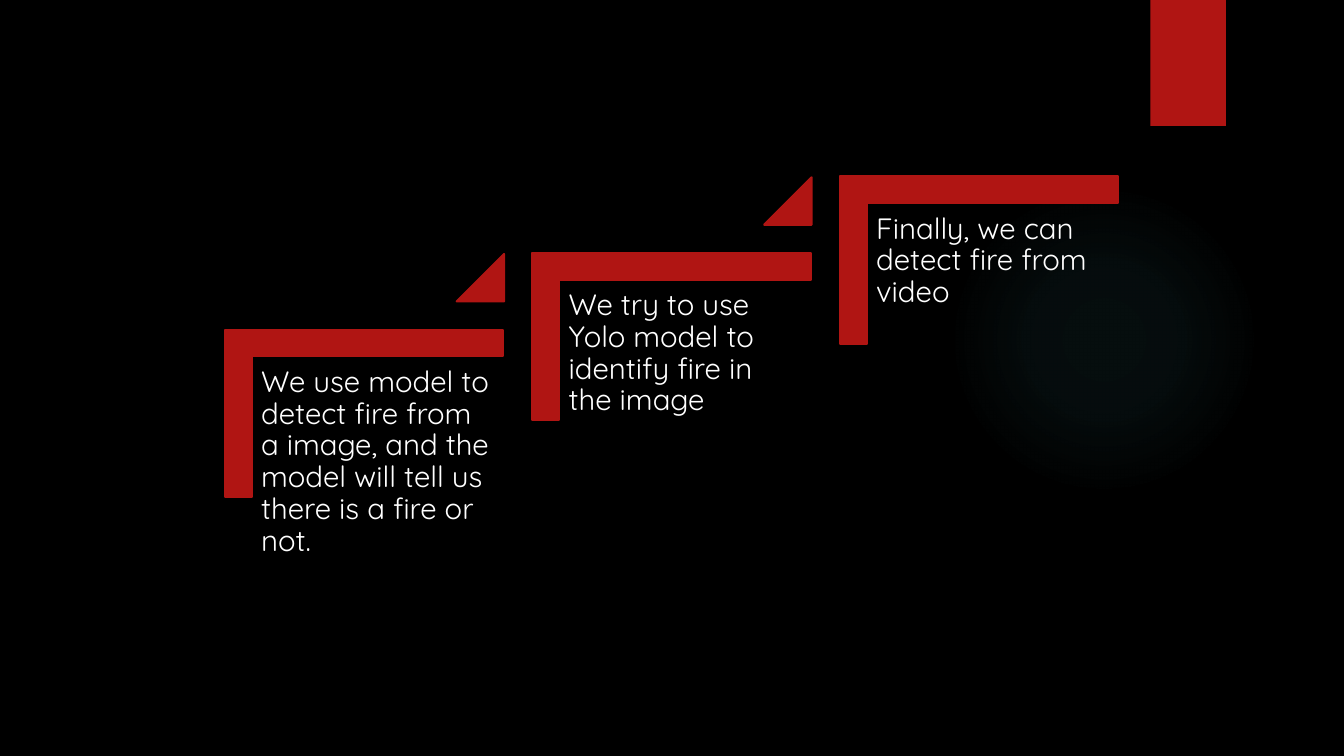
from dataclasses import dataclass

from lxml import etree
from pptx import Presentation
from pptx.dml.color import RGBColor
from pptx.enum.shapes import MSO_SHAPE
from pptx.enum.text import MSO_ANCHOR, PP_ALIGN
from pptx.oxml import parse_xml
from pptx.oxml.ns import nsdecls
from pptx.util import Inches, Pt

RECT = MSO_SHAPE.RECTANGLE
OVAL = MSO_SHAPE.OVAL
CORNER = MSO_SHAPE.CORNER
WEDGE = MSO_SHAPE.ISOSCELES_TRIANGLE
TOP = MSO_ANCHOR.TOP
LEFT = PP_ALIGN.LEFT


@dataclass(frozen=True)
class Theme:
    back: str = "000000"
    red: str = "B01513"
    glow: str = "50B9C1"
    ink: str = "FFFFFF"
    font: str = "Quicksand"
    size: float = 21
    line: float = 1.5


THEME = Theme()
STEPS = (
    "We use model to detect fire from a image, and the model will tell us there is a fire or not.",
    "We try to use Yolo model to identify fire in the image",
    "Finally, we can detect fire from video",
)
STEP_X, STEP_Y = 3.05, -0.76


def color(code):
    return RGBColor.from_string(code)


def add_form(slide, kind, box, adjust=(), edge=True):
    form = slide.shapes.add_shape(kind, *map(Inches, box))
    form.shadow.inherit = False
    form.fill.solid()
    form.fill.fore_color.rgb = color(THEME.red)
    for i, value in enumerate(adjust):
        form.adjustments[i] = value
    if edge:
        form.line.color.rgb = color(THEME.red)
        form.line.width = Pt(THEME.line)
    else:
        form.line.fill.background()
    return form


def add_glow(slide, box):
    form = add_form(slide, OVAL, box, edge=False)
    stops = "".join(
        f'<a:gs pos="{pos * 1000}"><a:srgbClr val="{THEME.glow}">'
        f'<a:alpha val="{alpha * 1000}"/></a:srgbClr></a:gs>'
        for pos, alpha in ((0, 7), (36, 6), (69, 0))
    )
    fade = parse_xml(
        f'<a:gradFill {nsdecls("a")}><a:gsLst>{stops}</a:gsLst><a:path path="circle">'
        '<a:fillToRect l="50000" t="50000" r="50000" b="50000"/></a:path></a:gradFill>'
    )
    props = form.fill._xPr
    solid = next(node for node in props if etree.QName(node).localname == "solidFill")
    props.replace(solid, fade)


def add_note(slide, box, text):
    frame = slide.shapes.add_textbox(*map(Inches, box)).text_frame
    frame.word_wrap = True
    frame.vertical_anchor = TOP
    frame.margin_left = frame.margin_right = Inches(0.09)
    frame.margin_top = frame.margin_bottom = Inches(0.09)
    para = frame.paragraphs[0]
    para.text = text
    para.alignment = LEFT
    para.line_spacing = 0.9
    para.font.name = THEME.font
    para.font.size = Pt(THEME.size)
    para.font.color.rgb = color(THEME.ink)


def add_step(slide, index, text):
    dx, dy = index * STEP_X, index * STEP_Y
    angle = add_form(slide, CORNER, (2.78 + dx, 2.72 + dy, 1.66, 2.76), (0.16, 0.16))
    angle.rotation = 90
    add_note(slide, (2.5 + dx, 3.55 + dy, 2.5, 2.19), text)
    if index < len(STEPS) - 1:
        add_form(slide, WEDGE, (4.53 + dx, 2.52 + dy, 0.47, 0.47), (1,))


def main():
    deck = Presentation()
    deck.slide_width, deck.slide_height = Inches(13.33), Inches(7.5)
    slide = deck.slides.add_slide(deck.slide_layouts[6])
    fill = slide.background.fill
    fill.solid()
    fill.fore_color.rgb = color(THEME.back)
    add_glow(slide, (9.41, 1.83, 3.08, 3.08))
    add_form(slide, RECT, (11.41, 0, 0.75, 1.25), edge=False)
    for index, text in enumerate(STEPS):
        add_step(slide, index, text)
    deck.save("out.pptx")


main()
